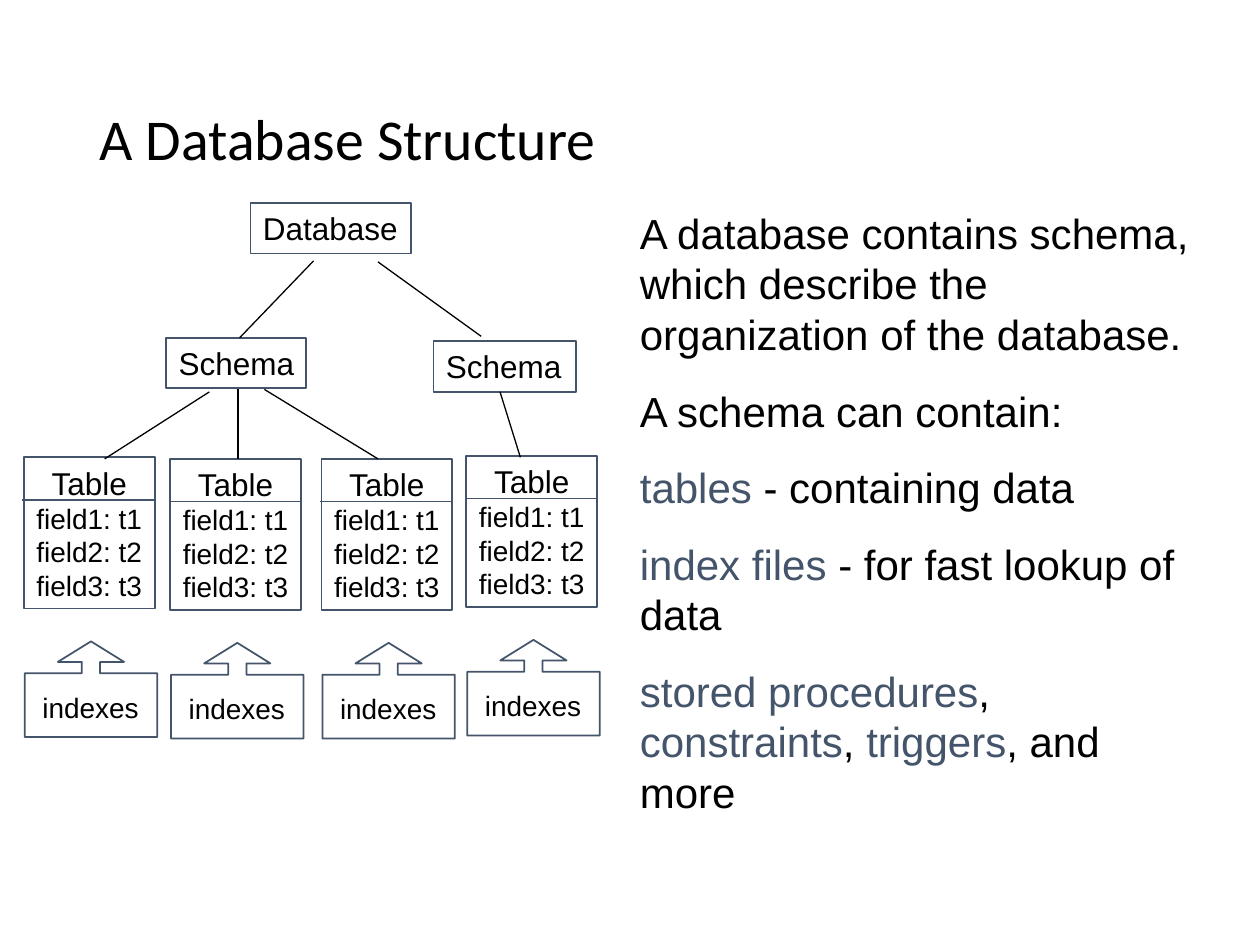
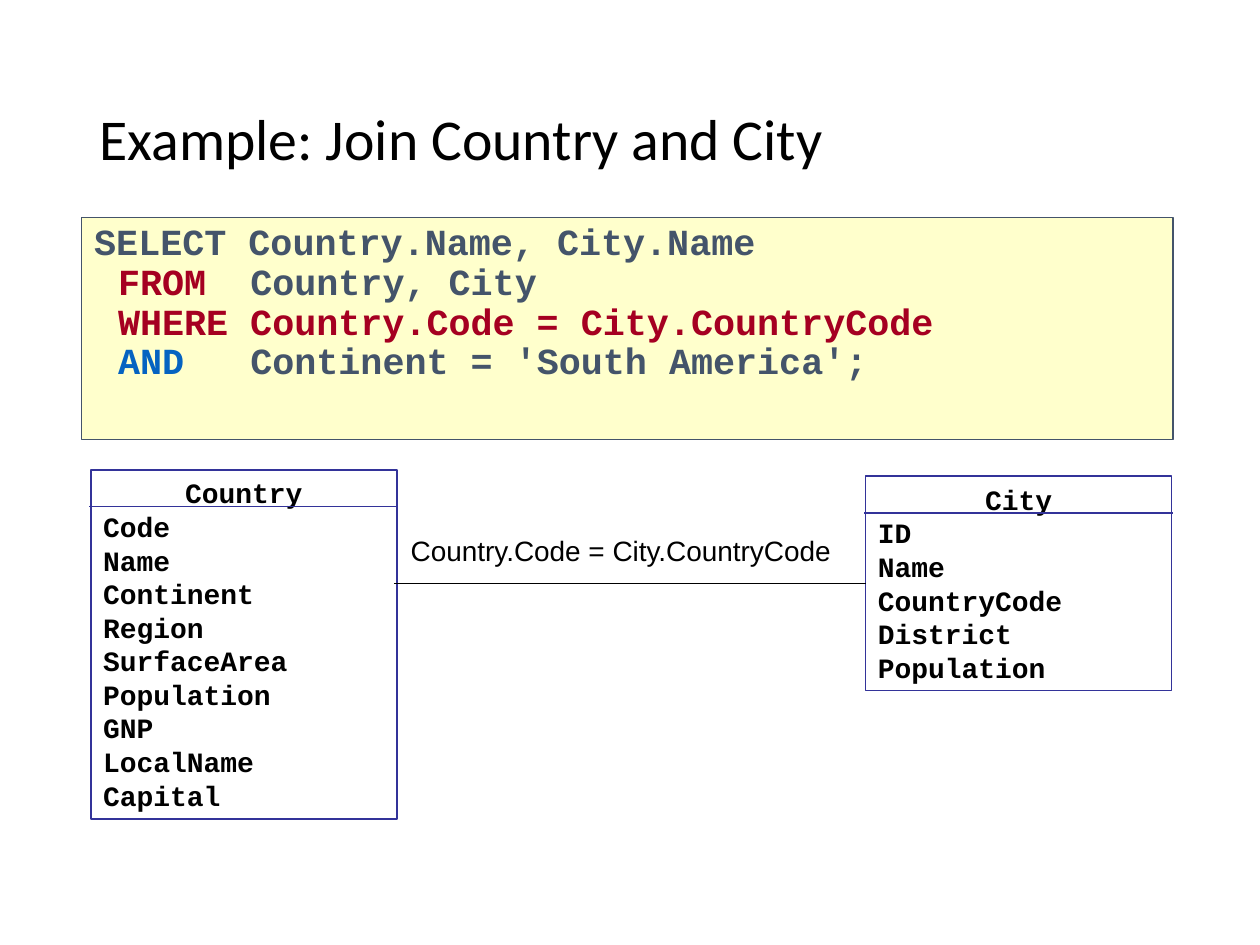
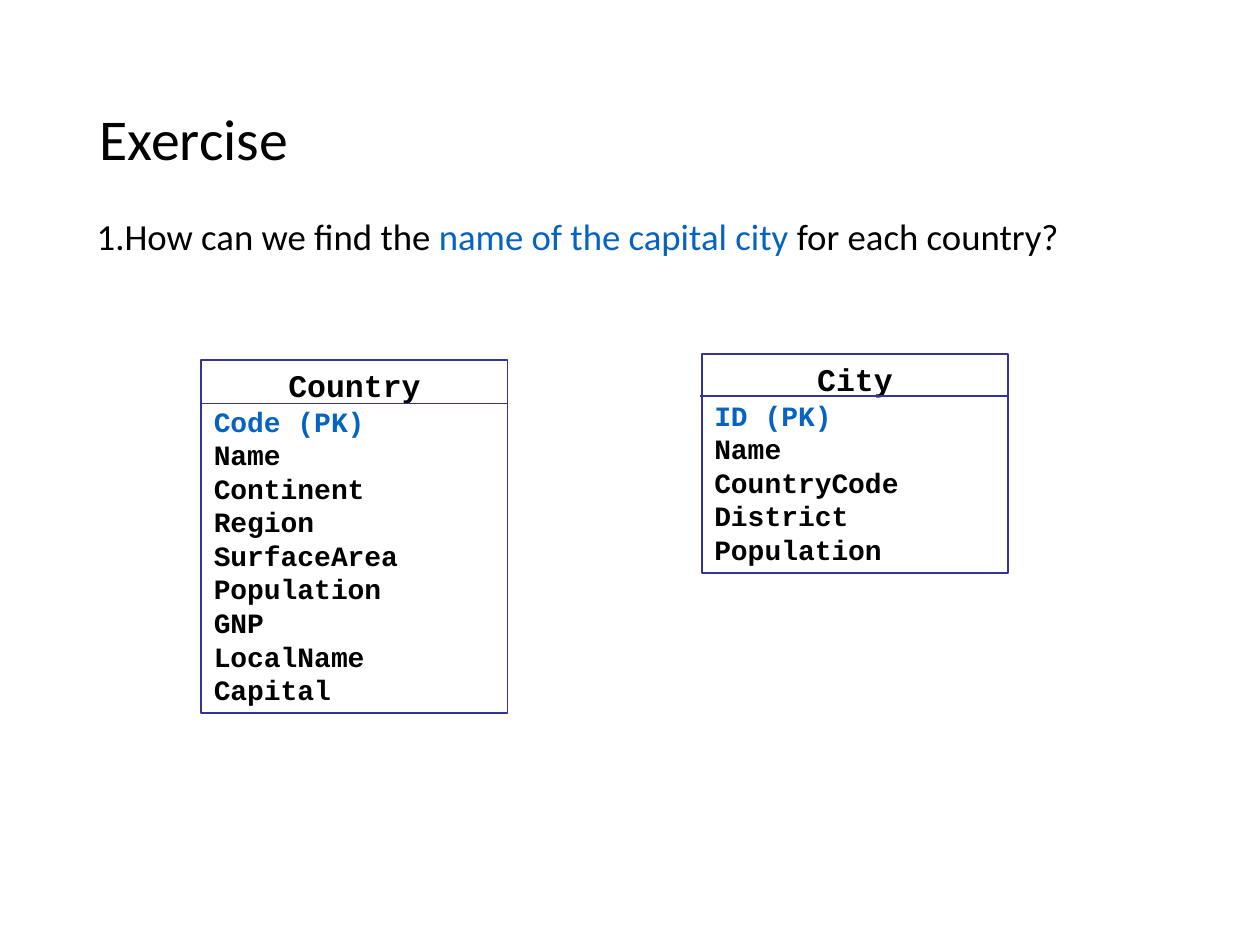
import pptx
import pptx.util
import pptx.dml.color
import pptx.enum.shapes
import pptx.enum.text
import pptx.oxml.ns
import lxml.etree

Cm = pptx.util.Cm
Pt = pptx.util.Pt
RGBColor = pptx.dml.color.RGBColor
SHAPE = pptx.enum.shapes.MSO_SHAPE
ALIGN = pptx.enum.text.PP_ALIGN
ANCHOR = pptx.enum.text.MSO_ANCHOR
qn = pptx.oxml.ns.qn

BLACK = RGBColor(0x00, 0x00, 0x00)
SLATE = RGBColor(0x44, 0x54, 0x6A)
INDIGO = RGBColor(0x33, 0x33, 0x99)
BLUE = RGBColor(0x05, 0x63, 0xC1)
RED = RGBColor(0xA5, 0x00, 0x21)
CREAM = RGBColor(0xFF, 0xFF, 0xCC)

SANS = {"name": "Arial", "size": Pt(18), "bold": False}
SMALL = {**SANS, "size": Pt(16)}
PROSE = {**SANS, "size": Pt(24)}
TITLE = {"name": "Calibri", "size": Pt(33), "bold": False}
QUESTION = {**TITLE, "size": Pt(21)}
MONO = {"name": "Courier New", "size": Pt(16), "bold": True}
MONO_HEAD = {**MONO, "size": Pt(18)}
CODE = {**MONO, "size": Pt(21)}

TIGHT = {"line_spacing": 0.9}
CENTERED = {"alignment": ALIGN.CENTER}

COUNTRY = ["Name", "Continent", "Region", "SurfaceArea", "Population",
           "GNP", "LocalName", "Capital"]
CITY = ["Name", "CountryCode", "District", "Population"]


def apply(obj, values):
    for name, value in values.items():
        setattr(obj, name, value)


def write(p, runs, font, layout):
    """Fill a paragraph with (text, colour) runs; a newline is a line break."""
    apply(p, {"alignment": ALIGN.LEFT, **layout})
    for text, color in runs:
        for i, piece in enumerate(text.split("\n")):
            if i:
                p.add_line_break()
            if piece:
                r = p.add_run()
                r.text = piece
                apply(r.font, font)
                r.font.color.rgb = color


def hang(p):
    pPr = p._p.get_or_add_pPr()
    pPr.set("marL", str(Cm(0.48)))
    pPr.set("indent", str(-Cm(0.48)))
    return pPr


def add_title(s, text):
    sp = s.shapes.title
    apply(sp, {"left": Cm(1.75), "top": Cm(1.02),
               "width": Cm(21.92), "height": Cm(3.68)})
    apply(sp.text_frame, {"vertical_anchor": ANCHOR.MIDDLE, "word_wrap": True})
    write(sp.text_frame.paragraphs[0], [(text, BLACK)], TITLE, TIGHT)


def add_box(s, x, y, w, h, line, weight=1, fill=None, kind=SHAPE.RECTANGLE, wrap=True):
    sp = s.shapes.add_shape(kind, Cm(x), Cm(y), Cm(w), Cm(h))
    sp.shadow.inherit = False
    if fill is None:
        sp.fill.background()
    else:
        sp.fill.solid()
        sp.fill.fore_color.rgb = fill
    sp.line.color.rgb = line
    sp.line.width = Pt(weight)
    apply(sp.text_frame, {"vertical_anchor": ANCHOR.TOP, "word_wrap": wrap})
    return sp


def add_text(s, x, y, w, h, wrap=True):
    tf = s.shapes.add_textbox(Cm(x), Cm(y), Cm(w), Cm(h)).text_frame
    tf.word_wrap = wrap
    return tf


def add_line(s, x1, y1, x2, y2, color=BLACK, weight=0.75):
    c = s.shapes.add_connector(pptx.enum.shapes.MSO_CONNECTOR.STRAIGHT,
                               Cm(x1), Cm(y1), Cm(x2), Cm(y2))
    c.line.color.rgb = color
    c.line.width = Pt(weight)
    lxml.etree.SubElement(c._element.spPr, qn("a:effectLst"))


def add_entity(s, x, y, w, h, head, fields, rule, head_font=MONO, font=MONO,
               color=INDIGO, weight=0.75, layout=None, wrap=True):
    """Box with a centred heading, a rule under it, and one field a line."""
    tf = add_box(s, x, y, w, h, color, wrap=wrap).text_frame
    write(tf.paragraphs[0], [(head, BLACK)], head_font, CENTERED)
    for field in fields:
        ink = BLUE if "(PK)" in field else BLACK
        write(tf.add_paragraph(), [(field, ink)], font, layout or {})
    add_line(s, x - 0.03, y + rule, x + w + 0.02, y + rule, color, weight)


def add_indexed_table(s, x, y):
    add_entity(s, x, y, 2.64, 3.05, "Table", ["field1: t1", "field2: t2", "field3: t3"],
               0.86, SANS, SMALL, SLATE, 1, CENTERED, wrap=False)
    x, y = x + 0.02, y + 3.71
    sp = add_box(s, x, y, 2.67, 1.93, SLATE, kind=SHAPE.UP_ARROW_CALLOUT)
    for i, value in enumerate((0.19, 0.346, 0.215, 0.667)):
        sp.adjustments[i] = value
    tf = add_text(s, x + 0.03, y + 0.86, 2.59, 0.94)
    write(tf.paragraphs[0], [("indexes", BLACK)], SMALL, CENTERED)


def add_database_tree(s, x, y):
    nodes = [("Database", 4.57, 0, 3.23), ("Schema", 2.87, 2.72, 2.82),
             ("Schema", 8.26, 2.79, 2.87)]
    tables = [(0, 5.13), (2.95, 5.16), (6, 5.16), (8.92, 5.1)]
    branches = [(5.84, 1.17, 4.35, 2.72), (7.14, 1.19, 9.22, 2.69),
                (3.74, 3.81, 1.63, 5.16), (4.32, 3.76, 4.32, 5.16),
                (4.85, 3.76, 7.14, 5.16), (9.6, 3.81, 10.01, 5.13)]
    for text, dx, dy, w in nodes:
        tf = add_box(s, x + dx, y + dy, w, 1.02, SLATE, wrap=False).text_frame
        write(tf.paragraphs[0], [(text, BLACK)], SANS, {})
    for dx, dy in tables:
        add_indexed_table(s, x + dx, y + dy)
    for x1, y1, x2, y2 in branches:
        add_line(s, x + x1, y + y1, x + x2, y + y2)


def add_explanation(s, x, y, w, h):
    paragraphs = [
        [("A database contains schema, which describe the organization of the database.",
          BLACK)],
        [("A schema can contain:", BLACK)],
        [("tables", SLATE), (" - containing data", BLACK)],
        [("index files", SLATE), (" - for fast lookup of data", BLACK)],
        [("stored procedures", SLATE), (", ", BLACK), ("constraints", SLATE),
         (", ", BLACK), ("triggers", SLATE), (", and more", BLACK)],
    ]
    tf = add_text(s, x, y, w, h)
    for i, runs in enumerate(paragraphs):
        p = tf.add_paragraph() if i else tf.paragraphs[0]
        write(p, runs, PROSE, {"space_before": Pt(15)} if i else {})


def add_query(s, x, y, w, h):
    p = add_box(s, x, y, w, h, SLATE, 0.75, CREAM).text_frame.paragraphs[0]
    hang(p)
    write(p, [("SELECT Country.Name, City.Name\n", SLATE),
              ("FROM", RED), ("  Country, City\n", SLATE),
              ("WHERE Country.Code = City.CountryCode\n", RED),
              ("AND", BLUE), ("   Continent = 'South America';", SLATE)], CODE, TIGHT)


def add_join(s, x, y, w):
    add_line(s, x, y, x + w, y)
    tf = add_text(s, x + 0.08, y - 1.12, 9.07, 0.94, wrap=False)
    write(tf.paragraphs[0], [("Country.Code = City.CountryCode", BLACK)], SMALL, {})


def add_question(s, x, y, w, h):
    p = add_text(s, x, y, w, h).paragraphs[0]
    pPr = hang(p)
    clr = lxml.etree.SubElement(pPr, qn("a:buClr"))
    lxml.etree.SubElement(clr, qn("a:srgbClr"), val=str(BLACK))
    lxml.etree.SubElement(pPr, qn("a:buAutoNum"), type="arabicPeriod")
    write(p, [("How can we find the ", BLACK), ("name of the capital city", BLUE),
              (" for each country?", BLACK)], QUESTION, TIGHT)


def new_slide(prs, title):
    s = prs.slides.add_slide(prs.slide_layouts[5])
    add_title(s, title)
    return s


def main():
    prs = pptx.Presentation()
    apply(prs, {"slide_width": Cm(25.4), "slide_height": Cm(19.05)})

    s = new_slide(prs, "A Database Structure")
    add_database_tree(s, 0.48, 4.09)
    add_explanation(s, 12.65, 4.06, 11.81, 12.55)

    s = new_slide(prs, "Example: Join Country and City")
    add_query(s, 1.65, 4.39, 22, 4.47)
    add_entity(s, 1.83, 9.47, 6.17, 7.04, "Country", ["Code"] + COUNTRY, 0.74)
    add_entity(s, 17.45, 9.6, 6.17, 4.32, "City", ["ID"] + CITY, 0.74)
    add_join(s, 7.95, 11.76, 9.5)

    s = new_slide(prs, "Exercise")
    add_question(s, 1.7, 4.29, 22, 2.62)
    add_entity(s, 4.06, 7.26, 6.17, 7.11, "Country", ["Code (PK)"] + COUNTRY, 0.88, MONO_HEAD)
    add_entity(s, 14.15, 7.14, 6.17, 4.42, "City", ["ID (PK)"] + CITY, 0.84, MONO_HEAD)

    prs.save("out.pptx")


if __name__ == "__main__":
    main()
